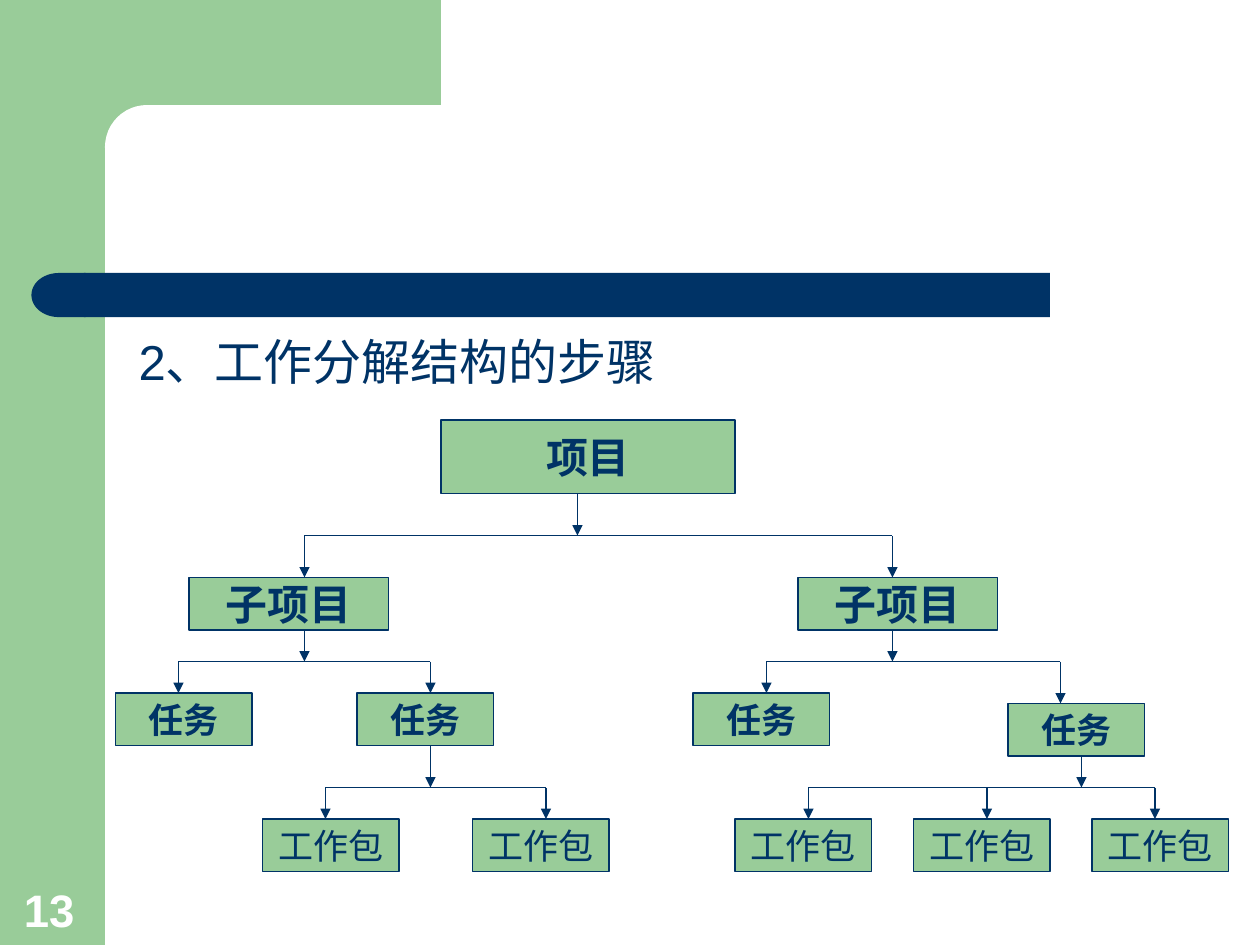
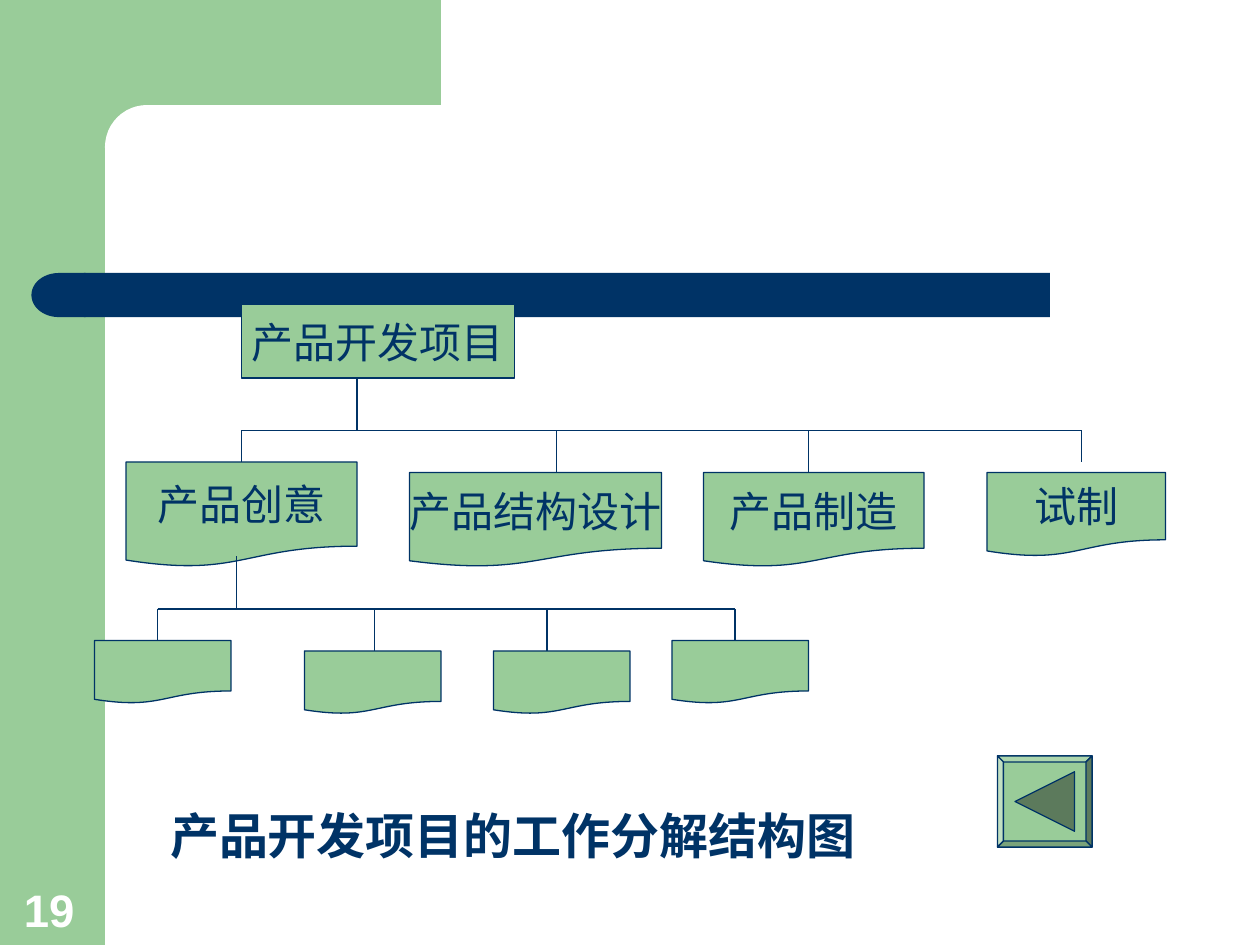
from dataclasses import dataclass

from lxml import etree
from pptx import Presentation
from pptx.dml.color import RGBColor
from pptx.enum import shapes, text
from pptx.oxml import ns
from pptx.util import Pt

COLOURS = {
    "green": "99CC99",
    "navy": "003366",
    "white": "FFFFFF",
    "bevel_top": "ADD6AD",
    "bevel_left": "C2E0C2",
    "bevel_bottom": "7AA37A",
    "bevel_right": "5C7A5C",
}
SHAPE = shapes.MSO_SHAPE
ANCHOR = text.MSO_ANCHOR
CENTRE = text.PP_ALIGN.CENTER
LEFT = text.PP_ALIGN.LEFT
LINE_WIDTH = 0.75


@dataclass
class Box:
    left: float
    top: float
    width: float
    height: float

    def inner(self, left, top, width, height):
        return Box(self.left + left, self.top + top, width, height)

    def point(self, x, y):
        return Pt(self.left + x), Pt(self.top + y)

    def lengths(self):
        return [Pt(value) for value in (self.left, self.top, self.width, self.height)]


def colour(name):
    return RGBColor.from_string(COLOURS[name])


def write(shape, words, size=24, font="Times New Roman", ink="navy", bold=False,
          align=CENTRE, anchor=ANCHOR.MIDDLE, wrap=False, spacing=None):
    frame = shape.text_frame
    frame.auto_size = text.MSO_AUTO_SIZE.NONE
    frame.word_wrap = wrap
    frame.vertical_anchor = anchor
    frame.margin_left = frame.margin_right = Pt(7.2)
    frame.margin_top = frame.margin_bottom = Pt(3.6)
    paragraph = frame.paragraphs[0]
    paragraph.alignment = align
    paragraph.line_spacing = spacing
    run = paragraph.add_run()
    run.text = words
    run.font.size = Pt(size)
    run.font.name = font
    run.font.bold = bold
    run.font.color.rgb = colour(ink)


def paint(shape, fill, line=None):
    shape.shadow.inherit = False
    shape.fill.solid()
    shape.fill.fore_color.rgb = colour(fill)
    if line:
        shape.line.color.rgb = colour(line)
        shape.line.width = Pt(LINE_WIDTH)
    else:
        shape.line.fill.background()


def add_block(slide, kind, box, fill="green", line=None):
    shape = slide.shapes.add_shape(kind, *box.lengths())
    paint(shape, fill, line)
    return shape


def add_node(slide, box, words="", kind=SHAPE.RECTANGLE, **style):
    shape = add_block(slide, kind, box, line="navy")
    if words:
        write(shape, words, **style)


def add_line(slide, box, start, end, arrow=False):
    connector = slide.shapes.add_connector(
        shapes.MSO_CONNECTOR.STRAIGHT, *box.point(*start), *box.point(*end))
    connector.line.color.rgb = colour("navy")
    connector.line.width = Pt(LINE_WIDTH)
    properties = connector._element.spPr
    if arrow:
        etree.SubElement(properties.find(ns.qn("a:ln")), ns.qn("a:tailEnd"), type="triangle")
    etree.SubElement(properties, ns.qn("a:effectLst"))


def add_branch(slide, box, stem_x, stem_top, bar_y, drops, arrow=False):
    columns = [x for x, _ in drops]
    add_line(slide, box, (stem_x, stem_top), (stem_x, bar_y), arrow)
    add_line(slide, box, (min(columns), bar_y), (max(columns), bar_y))
    for x, bottom in drops:
        add_line(slide, box, (x, bar_y), (x, bottom), arrow)


def add_frame(slide, page, number):
    add_block(slide, SHAPE.RECTANGLE, page.inner(0, 0, 60, 540))
    add_block(slide, SHAPE.RECTANGLE, page.inner(54, 0, 198, 84))
    corner = add_block(slide, SHAPE.ROUNDED_RECTANGLE, page.inner(60, 60, 402, 48), "white")
    corner.adjustments[0] = 0.5
    add_block(slide, SHAPE.RECTANGLE, page.inner(48, 156, 552, 25.2), "navy")
    cap = add_block(slide, SHAPE.FLOWCHART_DELAY, page.inner(18, 156, 31, 25.2), "navy")
    cap._element.spPr.find(ns.qn("a:xfrm")).set("flipH", "1")
    number_box = slide.shapes.add_textbox(*page.inner(6.5, 500, 46, 39).lengths())
    write(number_box, number, size=26, font="Arial", ink="white", bold=True,
          align=LEFT, anchor=ANCHOR.BOTTOM, wrap=True)


def add_titled_slide(presentation, page, number, title, box, **style):
    slide = presentation.slides.add_slide(presentation.slide_layouts[5])
    add_frame(slide, page, number)
    heading = slide.shapes.title
    heading.left, heading.top, heading.width, heading.height = box.lengths()
    write(heading, title, size=28, font="Arial", align=LEFT, wrap=True, **style)
    return slide


def add_steps_tree(slide, box):
    levels = [
        ("项目", 168, 42, 24, True, [(186, 0)]),
        ("子项目", 114, 30, 24, True, [(42, 90), (390, 90)]),
        ("任务", 78, 30, 20, True, [(0, 156), (138, 156), (330, 156), (510, 162)]),
        ("工作包", 78, 30, 20, False, [(x, 228) for x in (84, 204, 354, 456, 558)]),
    ]
    for words, width, height, size, bold, places in levels:
        for left, top in places:
            add_node(slide, box.inner(left, top, width, height), words, size=size, bold=bold)
    branches = [
        (264, 42, 66, [(108, 90), (444, 90)]),
        (108, 120, 138, [(36, 156), (180, 156)]),
        (444, 120, 138, [(372, 156), (540, 162)]),
        (180, 186, 210, [(120, 228), (246, 228)]),
        (552, 192, 210, [(396, 228), (498, 228), (594, 228)]),
    ]
    for branch in branches:
        add_branch(slide, box, *branch, arrow=True)


def add_product_tree(slide, box):
    add_node(slide, box.inner(84, 0, 156, 42), "产品开发项目")
    phases = [
        ("产品创意", 18, 90, 132, 60),
        ("产品结构设计", 180, 96, 144, 54),
        ("产品制造", 348, 96, 126, 54),
        ("试制", 510, 96, 102, 48),
    ]
    for words, *place in phases:
        add_node(slide, box.inner(*place), words, kind=SHAPE.FLOWCHART_DOCUMENT)
    add_branch(slide, box, 150, 42, 72, [(84, 90), (264, 96), (408, 96), (564, 90)])
    add_branch(slide, box, 81, 144, 174, [(36, 192), (160, 198), (258.5, 198), (366, 192)])
    for left, top in [(0, 192), (120, 198), (228, 198), (330, 192)]:
        add_node(slide, box.inner(left, top, 78, 36), kind=SHAPE.FLOWCHART_DOCUMENT)


def add_back_button(slide, box):
    bevel = 3.4
    right, bottom = box.width, box.height
    outer = [(0, 0), (right, 0), (right, bottom), (0, bottom)]
    inner = [(bevel, bevel), (right - bevel, bevel),
             (right - bevel, bottom - bevel), (bevel, bottom - bevel)]
    facets = [(outer, "green")]
    for side, name in enumerate(("top", "right", "bottom", "left")):
        following = (side + 1) % 4
        corners = [outer[side], outer[following], inner[following], inner[side]]
        facets.append((corners, f"bevel_{name}"))
    middle = bottom / 2
    facets.append(([(10, middle), (44, middle - 17), (44, middle + 17)], "bevel_right"))
    for corners, fill in facets:
        first, *others = [box.point(*corner) for corner in corners]
        builder = slide.shapes.build_freeform(*first)
        builder.add_line_segments(others, close=True)
        paint(builder.convert_to_shape(), fill, "navy")


def main():
    presentation = Presentation()
    page = Box(0, 0, 720, 540)
    presentation.slide_width = Pt(page.width)
    presentation.slide_height = Pt(page.height)

    steps = add_titled_slide(presentation, page, "13", "2、工作分解结构的步骤",
                             page.inner(72, 186, 630, 48), anchor=ANCHOR.TOP)
    add_steps_tree(steps, page.inner(66, 240, 636, 258))

    product = add_titled_slide(presentation, page, "19", "产品开发项目的工作分解结构图",
                               page.inner(90, 456, 630, 42), anchor=ANCHOR.BOTTOM,
                               bold=True, spacing=0.9)
    add_product_tree(product, page.inner(54, 174, 612, 234))
    add_back_button(product, page.inner(570, 432, 54, 52))

    presentation.save("out.pptx")


if __name__ == "__main__":
    main()
